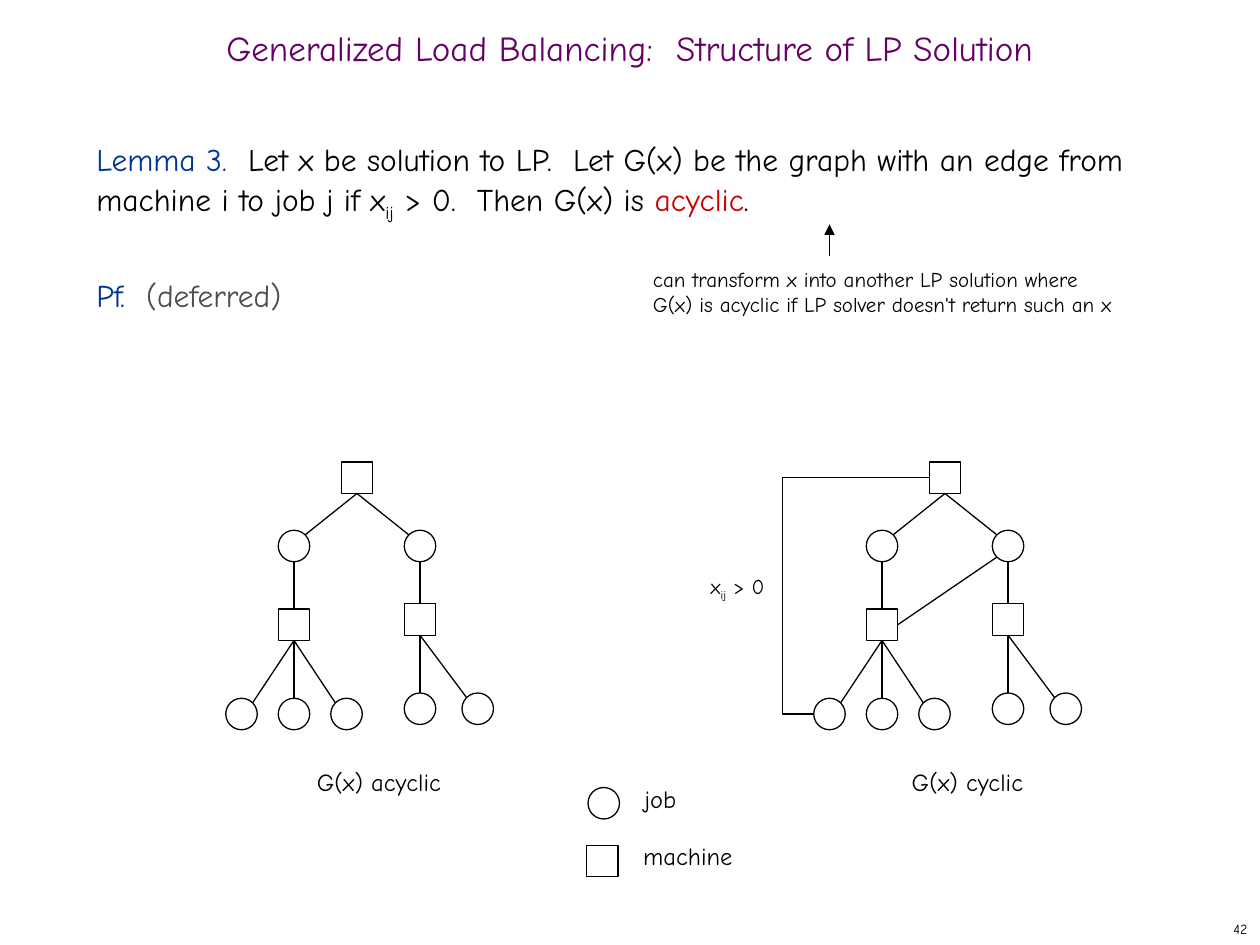
"""Builds a slide on the bipartite graph structure of an LP solution."""
from dataclasses import dataclass
from math import sqrt

from lxml import etree
from pptx import Presentation, util as u
from pptx.dml.color import RGBColor
from pptx.enum import shapes, text
from pptx.oxml.ns import qn

COLS_PER_INCH = 24
W, H = 240, 180
R = 3
D = R / sqrt(2)


@dataclass(frozen=True)
class Theme:
    """Colours, font and sizes used on the slide."""
    font: str = "Comic Neue"
    title: str = "660066"
    term: str = "003399"
    alert: str = "CC0000"
    muted: str = "4D4D4D"
    ink: str = "000000"
    title_size: int = 20
    body_size: int = 18
    label_size: int = 14
    note_size: int = 12
    page_size: int = 8
    leading: int = 26
    line: float = 0.75


T = Theme()


def cell(n):
    """Turn grid cells into a length."""
    return u.Inches(n / COLS_PER_INCH)


def assign(obj, **values):
    """Set each named attribute on an object."""
    for name, value in values.items():
        setattr(obj, name, value)


def add_runs(p, runs, size):
    """Fill a paragraph with (text, colour, baseline) runs."""
    for content, color, base in runs:
        for i, part in enumerate(content.split("\n")):
            if i:
                p.add_line_break()
            r = p.add_run()
            r.text = part
            assign(r.font, name=T.font, size=u.Pt(size))
            r.font.color.rgb = RGBColor.from_string(color)
            if base:
                r.font._element.set("baseline", str(base * 1000))


def add_text(s, box, paragraphs, size, wrap=False, anchor="TOP", **fmt):
    """Add a text box with formatted paragraphs."""
    sp = s.shapes.add_textbox(*map(cell, box))
    tf = sp.text_frame
    assign(tf, word_wrap=wrap, vertical_anchor=text.MSO_ANCHOR[anchor])
    for i, runs in enumerate(paragraphs):
        p = tf.add_paragraph() if i else tf.paragraphs[0]
        assign(p, **fmt)
        if i:
            p.space_before = u.Pt(T.leading)
        add_runs(p, runs, size)


def add_label(s, x, y, w, content, size=T.label_size, h=8):
    """Add a plain label."""
    add_text(s, (x, y, w, h), [[(content, T.ink, 0)]], size)


def add_node(s, kind, x, y):
    """Add a job circle or a machine square centred on a point."""
    preset = {"job": shapes.MSO_SHAPE.OVAL, "machine": shapes.MSO_SHAPE.RECTANGLE}[kind]
    sp = s.shapes.add_shape(preset, *map(cell, (x - R, y - R, 2 * R, 2 * R)))
    sp.shadow.inherit = False
    sp.fill.background()
    sp.line.width = u.Pt(T.line)
    sp.line.color.rgb = RGBColor.from_string(T.ink)


def add_edge(s, start, end, kind="STRAIGHT", arrow=False, bend=None):
    """Add a straight or bent connector."""
    sp = s.shapes.add_connector(shapes.MSO_CONNECTOR[kind], *map(cell, (*start, *end)))
    sp.line.width = u.Pt(T.line)
    sp.line.color.rgb = RGBColor.from_string(T.ink)
    props = sp._element.spPr
    if arrow:
        etree.SubElement(sp.line._ln, qn("a:tailEnd"), type="triangle")
    if bend is not None:
        guides = props.find(qn("a:prstGeom")).get_or_add_avLst()
        etree.SubElement(guides, qn("a:gd"), name="adj1", fmla=f"val {round(bend * 100000)}")
    etree.SubElement(props, qn("a:effectLst"))


def add_tree(s, x):
    """Add the machine and job tree whose root is at column x."""
    root, jobs = 91, 104
    add_node(s, "machine", x, root)
    for side, machine, leaves in ((-12, 119, (-10, 0, 10)), (12, 118, (0, 11))):
        mid, leaf = x + side, machine + 17
        sign = 1 if side > 0 else -1
        add_node(s, "job", mid, jobs)
        add_node(s, "machine", mid, machine)
        add_edge(s, (x, root + R), (mid - sign * D, jobs - D))
        add_edge(s, (mid, jobs + R), (mid, machine - R))
        for dx in leaves:
            add_node(s, "job", mid + dx, leaf)
            turn = (dx > 0) - (dx < 0)
            end = (mid + dx - turn * D, leaf - (D if turn else R))
            add_edge(s, (mid, machine + R), end)


def add_cycle(s, x):
    """Add the two edges that close cycles in the tree at column x."""
    add_edge(s, (x - 25, 136), (x - R, 91), "ELBOW", bend=-0.27)
    add_edge(s, (x + 12 - D, 104 + D), (x - 9, 119))


def add_legend(s):
    """Add the key for the two kinds of node."""
    for kind, x, y, w in (("job", 115, 153, 11), ("machine", 114.75, 164, 22)):
        add_node(s, kind, x, y)
        add_label(s, x + 5.4, y - 4.9, w, kind)


def add_statement(s):
    """Add the title, the lemma with its proof line, and the side note."""
    add_text(s, (0, 4, W, 12),
             [[("Generalized Load Balancing:  Structure of LP Solution", T.title, 0)]],
             T.title_size, True, "MIDDLE",
             alignment=text.PP_ALIGN.CENTER, line_spacing=0.7)
    lemma = [("Lemma 3.  ", T.term, 0),
             ("Let x be solution to LP.  Let G(x) be the graph with an edge from "
              "machine i to job j if x", T.ink, 0),
             ("ij", T.ink, -25), (" > 0.  Then G(x) is ", T.ink, 0),
             ("acyclic", T.alert, 0), (".", T.ink, 0)]
    proof = [("Pf.  ", T.term, 0), ("(deferred)", T.muted, 0)]
    add_text(s, (16, 24, 212, 142), [lemma, proof], T.body_size, True,
             line_spacing=u.Pt(T.leading))
    add_label(s, 122, 49.5, 92.4, "can transform x into another LP solution where\n"
              "G(x) is acyclic if LP solver doesn't return such an x", T.note_size, 12)
    add_edge(s, (158, 48.75), (158, 42.75), arrow=True)


def main():
    """Build and save the slide."""
    prs = Presentation()
    assign(prs, slide_width=cell(W), slide_height=cell(H))
    s = prs.slides.add_slide(prs.slide_layouts[6])
    add_statement(s)
    for x in (68, 180):
        add_tree(s, x)
    add_cycle(s, 180)
    add_label(s, 58, 145, 28.6, "G(x) acyclic")
    add_label(s, 171.3, 145, 26.2, "G(x) cyclic")
    add_text(s, (133, 108, 15.1, 8),
             [[("x", T.ink, 0), ("ij", T.ink, -25), (" > 0", T.ink, 0)]], T.note_size)
    add_legend(s)
    add_text(s, (190, 174, 50, 6), [[("42", T.ink, 0)]], T.page_size, True, "MIDDLE",
             alignment=text.PP_ALIGN.RIGHT)
    prs.save("out.pptx")


if __name__ == "__main__":
    main()
